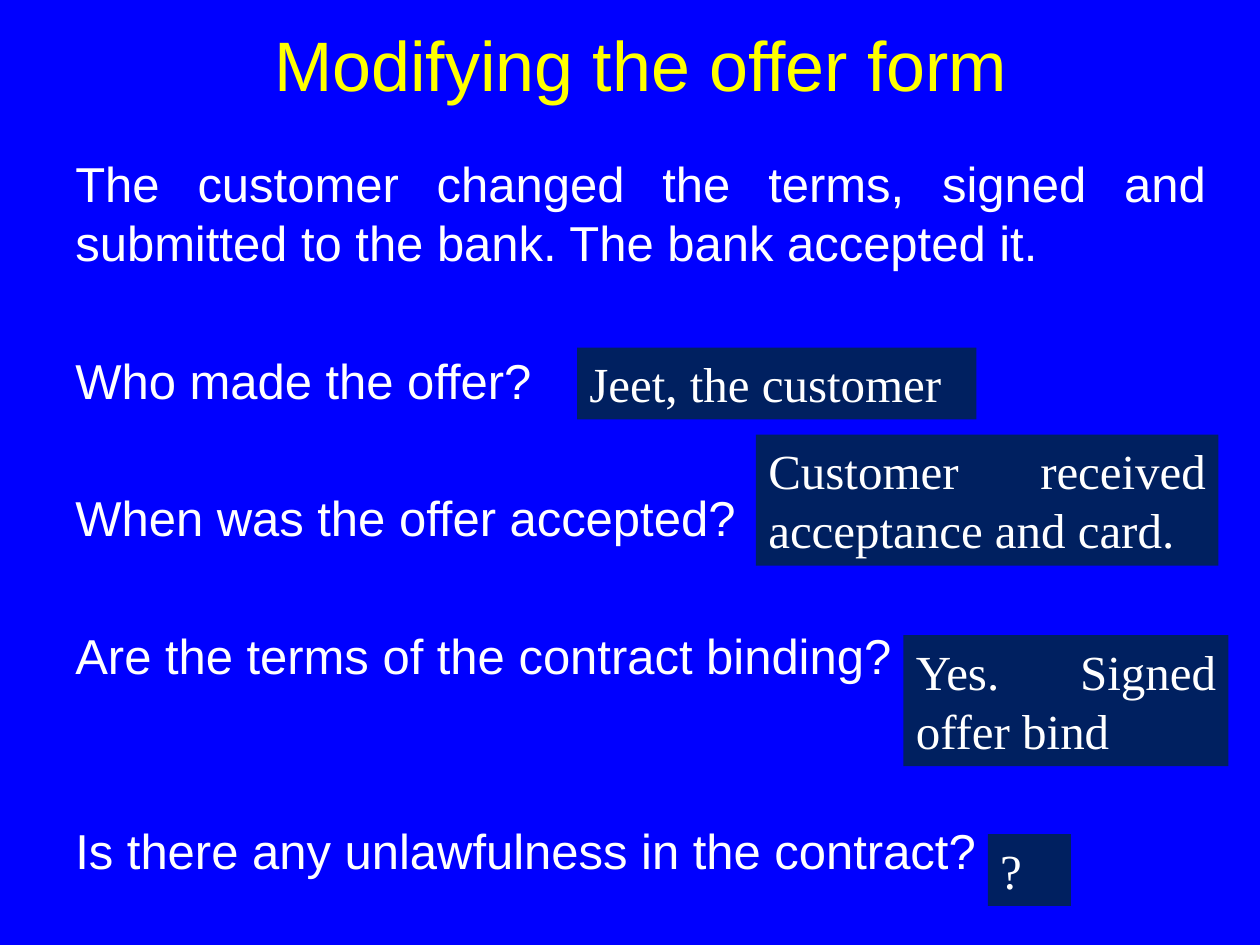
from pptx import Presentation
from pptx.dml.color import RGBColor
from pptx.enum.shapes import MSO_SHAPE
from pptx.enum.text import MSO_ANCHOR, PP_ALIGN
from pptx.util import Inches, Pt

RECTANGLE = MSO_SHAPE.RECTANGLE
TOP, MIDDLE = MSO_ANCHOR.TOP, MSO_ANCHOR.MIDDLE
CENTER, JUSTIFY = PP_ALIGN.CENTER, PP_ALIGN.JUSTIFY


def color(hex_string):
    return RGBColor.from_string(hex_string)


def write(paragraph, text, font="Arial", size=28, fill="FFFFFF",
          align=JUSTIFY, before=0):
    paragraph.alignment = align
    paragraph.space_before = Pt(before)
    run = paragraph.add_run()
    run.text = text
    run.font.name = font
    run.font.size = Pt(size)
    run.font.color.rgb = color(fill)


class SlideBuilder:
    BACKGROUND = "0000FF"
    TITLE = "FFFF00"
    ANSWER_FILL = "002060"
    ANSWER_FONT = "Times New Roman"

    def __init__(self, presentation):
        self.slide = presentation.slides.add_slide(presentation.slide_layouts[6])
        background = self.slide.background.fill
        background.solid()
        background.fore_color.rgb = color(self.BACKGROUND)

    def text_frame(self, box, anchor):
        frame = self.slide.shapes.add_textbox(*map(Inches, box)).text_frame
        frame.word_wrap = True
        frame.vertical_anchor = anchor
        return frame

    def title(self, text, box):
        frame = self.text_frame(box, MIDDLE)
        write(frame.paragraphs[0], text, size=40, fill=self.TITLE, align=CENTER)

    def body(self, entries, box):
        frame = self.text_frame(box, TOP)
        for index, (text, before) in enumerate(entries):
            paragraph = frame.add_paragraph() if index else frame.paragraphs[0]
            write(paragraph, text, before=before)

    def answer(self, text, box):
        shape = self.slide.shapes.add_shape(RECTANGLE, *map(Inches, box))
        shape.shadow.inherit = False
        shape.fill.solid()
        shape.fill.fore_color.rgb = color(self.ANSWER_FILL)
        shape.line.fill.background()
        frame = shape.text_frame
        frame.word_wrap = True
        frame.vertical_anchor = TOP
        write(frame.paragraphs[0], text, font=self.ANSWER_FONT)


def main():
    presentation = Presentation()
    presentation.slide_width = Inches(10)
    presentation.slide_height = Inches(7.5)
    builder = SlideBuilder(presentation)

    # Title
    builder.title("Modifying the offer form", (0.75, 0.17, 8.67, 0.67))

    # Case and questions, each with its space before in points
    builder.body([
        ("The customer changed the terms, signed and submitted to the bank. "
         "The bank accepted it.", 0),
        ("Who made the offer?", 45),
        ("When was the offer accepted?", 45),
        ("Are the terms of the contract binding?", 45),
        ("Is there any unlawfulness in the contract?", 78),
    ], (0.5, 1.17, 9.17, 6.08))

    # Answers
    one_line, two_lines = 0.57, 1.04
    for text, left, top, width, height in [
        ("Jeet, the customer", 4.58, 2.76, 3.17, one_line),
        ("Customer received acceptance and card.", 6, 3.45, 3.67, two_lines),
        ("Yes. Signed offer bind", 7.17, 5.04, 2.58, two_lines),
        ("?", 7.84, 6.62, 0.66, one_line),
    ]:
        builder.answer(text, (left, top, width, height))

    presentation.save("out.pptx")


if __name__ == "__main__":
    main()
